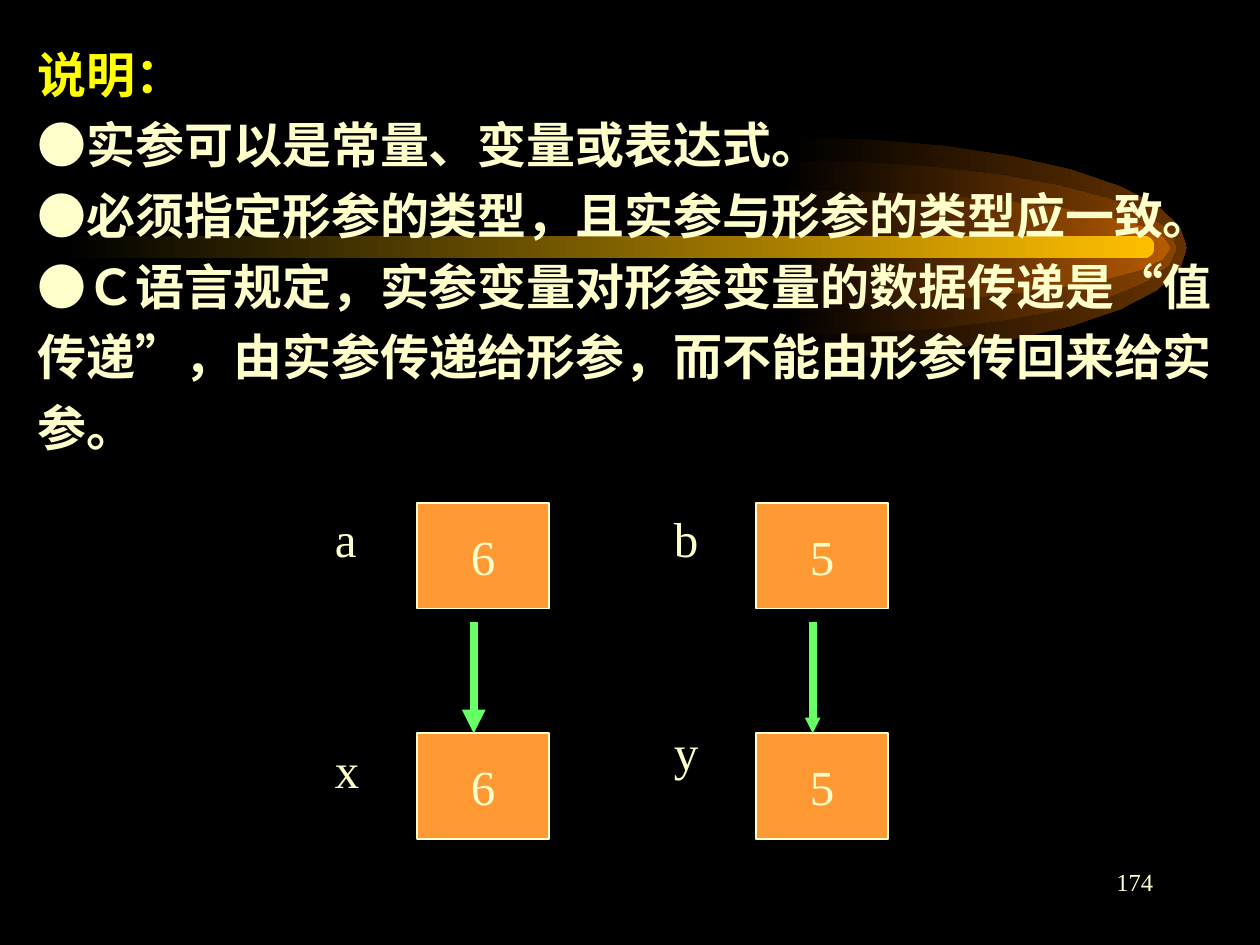
from dataclasses import dataclass
from math import cos, pi, sin

from lxml.etree import SubElement
from pptx import Presentation
from pptx.dml.color import RGBColor as Color
from pptx.enum.lang import MSO_LANGUAGE_ID as Language
from pptx.enum.shapes import MSO_CONNECTOR as Connector
from pptx.enum.shapes import MSO_SHAPE as Shape
from pptx.enum.text import MSO_ANCHOR as Anchor
from pptx.enum.text import PP_ALIGN as Align
from pptx.oxml.ns import qn
from pptx.util import Inches, Pt


@dataclass(frozen=True)
class Theme:
    background: str = "000000"
    text: str = "FFFFCC"
    heading: str = "FFFF00"
    cell: str = "FF9933"
    arrow: str = "66FF66"
    beam: str = "FFBF00"
    glows: tuple = ("663300", "894400", "B75B00")
    serif: str = "Times New Roman"
    sans: str = "Montserrat"
    bullet: str = "Arial"
    body_size: int = 28
    number_size: int = 14


theme = Theme()
deck = Presentation()
deck.slide_width, deck.slide_height = Inches(10), Inches(7.5)
column, row = deck.slide_width / 100, deck.slide_height / 75
page = deck.slides.add_slide(deck.slide_layouts[6])
page.background.fill.solid()
page.background.fill.fore_color.rgb = Color.from_string(theme.background)


def place(left, top, width, height):
    return [round(n * unit) for n, unit in
            zip((left, top, width, height), (column, row, column, row))]


def add_span(para, text, font=theme.serif, size=theme.body_size, color=theme.text, bold=False):
    span = para.add_run()
    span.text = text
    span.font.size, span.font.bold = Pt(size), bold
    span.font.color.rgb = Color.from_string(color)
    span.font.name = font
    span.font.language_id = Language.SIMPLIFIED_CHINESE


axis, reach, steps = 19.67, 31.3, 16
fades = []
for left, radius, color in zip((62.9, 62.1, 61.6), (8.75, 6.95, 4.55), theme.glows):
    arc = [((left + reach * sin(pi * n / steps)) * column,
            (axis - radius * cos(pi * n / steps)) * row) for n in range(steps + 1)]
    outline = page.shapes.build_freeform(*arc[0])
    outline.add_line_segments(arc[1:], close=True)
    fades.append((outline.convert_to_shape(), color))

beam = page.shapes.add_shape(Shape.ROUNDED_RECTANGLE, *place(5, 18.7, 86.6, 1.8))
beam.adjustments[0] = 0.5
fades.append((beam, theme.beam))
for shape, color in fades:
    shape.shadow.inherit = False
    shape.line.fill.background()
    shape.fill.gradient()
    shape.fill.gradient_angle = 0
    for stop, shade in zip(shape.fill.gradient_stops, (theme.background, color)):
        stop.color.rgb = Color.from_string(shade)

number = page.shapes.add_textbox(*place(71.7, 68.3, 20.8, 5)).text_frame
number.word_wrap = True
number.paragraphs[0].alignment = Align.RIGHT
add_span(number.paragraphs[0], "174", size=theme.number_size)

notes = page.shapes.add_textbox(*place(2, 2.1, 95.5, 34.6)).text_frame
notes.word_wrap = True
lines = (
    ("", "说明：", theme.heading),
    ("●", "实参可以是常量、变量或表达式。", theme.text),
    ("●", "必须指定形参的类型，且实参与形参的类型应一致。", theme.text),
    ("●", "Ｃ语言规定，实参变量对形参变量的数据传递是“值", theme.text),
    ("", "传递”，由实参传递给形参，而不能由形参传回来给实参。", theme.text),
)
for index, (bullet, text, color) in enumerate(lines):
    para = notes.add_paragraph() if index else notes.paragraphs[0]
    para.line_spacing = 1.2
    if bullet:
        add_span(para, bullet, theme.bullet, color=color, bold=True)
    add_span(para, text, theme.sans, color=color, bold=True)

upper, lower = 39.9, 58.2
variables = (
    (25.6, "6", (("a", upper, upper), ("x", lower, lower)), "med"),
    (52.5, "5", (("b", upper, upper), ("y", lower, 56.8)), "sm"),
)
for left, value, cells, head in variables:
    for name, top, label_top in cells:
        cell = page.shapes.add_shape(Shape.RECTANGLE, *place(left + 7.5, top, 10.5, 8.4))
        cell.shadow.inherit = False
        cell.fill.solid()
        cell.fill.fore_color.rgb = Color.from_string(theme.cell)
        cell.line.color.rgb = Color.from_string(theme.text)
        cell.line.width = Pt(1)
        cell.text_frame.word_wrap = False
        cell.text_frame.vertical_anchor = Anchor.MIDDLE
        para = cell.text_frame.paragraphs[0]
        para.alignment = Align.CENTER
        add_span(para, value)

        label = page.shapes.add_textbox(*place(left, label_top, 7.5, 5.7)).text_frame
        label.word_wrap = True
        add_span(label.paragraphs[0], name)

    x, start, _, end = place(left + 12, 49.7, 0, lower)
    arrow = page.shapes.add_connector(Connector.STRAIGHT, x, start, x, end)
    arrow.line.color.rgb = Color.from_string(theme.arrow)
    arrow.line.width = Pt(4.5)
    stroke = arrow.line._get_or_add_ln()
    stroke.set("cap", "sq")
    SubElement(stroke, qn("a:tailEnd"), type="triangle", w=head, len=head)
    SubElement(arrow._element.spPr, qn("a:effectLst"))

deck.save("out.pptx")
